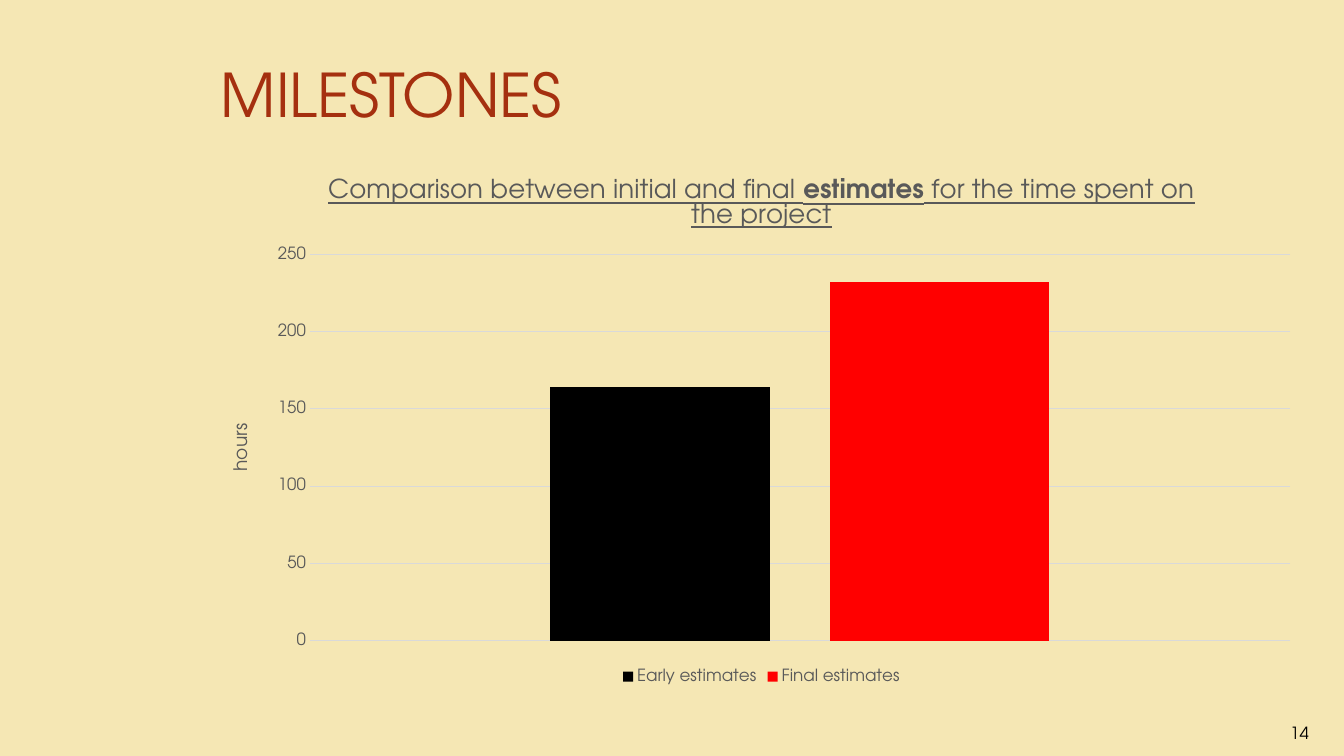
from dataclasses import dataclass

from lxml.etree import SubElement
from pptx import Presentation
from pptx.chart.data import CategoryChartData
from pptx.dml.color import RGBColor as RGB
from pptx.enum.chart import XL_CHART_TYPE as ChartType
from pptx.enum.chart import XL_LEGEND_POSITION as LegendPos
from pptx.enum.chart import XL_TICK_MARK as Tick
from pptx.enum.text import MSO_ANCHOR as Anchor
from pptx.enum.text import PP_ALIGN as Align
from pptx.oxml.ns import qn
from pptx.util import Cm, Pt

FONT = "TeX Gyre Adventor"
COLORS = {
    "background": "F5E7B4",
    "heading": "A5300F",
    "label": "595959",
    "grid": "D9D9D9",
    "black": "000000",
    "red": "FF0000",
}


@dataclass
class Estimate:
    name: str
    hours: int
    color: str


@dataclass
class Box:
    left: float
    top: float
    width: float
    height: float

    def lengths(self) -> list:
        return [Cm(v) for v in (self.left, self.top, self.width, self.height)]


ESTIMATES = [
    Estimate("Early estimates", 164, "black"),
    Estimate("Final estimates", 232, "red"),
]
TITLE_BOX = Box(5.31, 0.76, 27.76, 3.18)
CHART_BOX = Box(5.31, 4.01, 27.76, 13.34)
NUMBER_BOX = Box(31.9, 17.53, 1.7, 1.32)
PLOT_AREA = {"x": 0.09, "y": 0.18, "w": 0.89, "h": 0.73}


def rgb(name: str) -> RGB:
    return RGB.from_string(COLORS[name])


def set_font(font, size: float, color: str, **extra) -> None:
    values = {"name": FONT, "size": Pt(size), "bold": False, **extra}
    for key, value in values.items():
        setattr(font, key, value)
    font.color.rgb = rgb(color)


def add_title(slide) -> None:
    sp = slide.shapes.title
    for key, value in zip(("left", "top", "width", "height"), TITLE_BOX.lengths()):
        setattr(sp, key, value)
    tf = sp.text_frame
    tf.text = "MILESTONES"
    tf.vertical_anchor = Anchor.MIDDLE
    p = tf.paragraphs[0]
    p.alignment = Align.LEFT
    set_font(p.runs[0].font, 43, "heading")


def add_slide_number(slide) -> None:
    tf = slide.shapes.add_textbox(*NUMBER_BOX.lengths()).text_frame
    tf.word_wrap = True
    tf.vertical_anchor = Anchor.BOTTOM
    p = tf.paragraphs[0]
    p.alignment = Align.CENTER
    r = p.add_run()
    r.text = "14"
    set_font(r.font, 12, "black")


def place_plot(chart) -> None:
    """Fix the inner plot area as fractions of the chart."""
    area = chart.plots[0]._element.getparent()
    for old in area.findall(qn("c:layout")):
        area.remove(old)
    layout = SubElement(area, qn("c:layout"))
    area.insert(0, layout)
    manual = SubElement(layout, qn("c:manualLayout"))
    settings = {"layoutTarget": "inner", "xMode": "edge", "yMode": "edge", **PLOT_AREA}
    for tag, value in settings.items():
        SubElement(manual, qn(f"c:{tag}")).set("val", str(value))


def add_chart(slide) -> None:
    data = CategoryChartData()
    data.categories = ["1"]
    for estimate in ESTIMATES:
        data.add_series(estimate.name, [estimate.hours])
    chart = slide.shapes.add_chart(
        ChartType.COLUMN_CLUSTERED, *CHART_BOX.lengths(), data
    ).chart
    set_font(chart.font, 10, "black")

    # Chart title with one bold word
    chart.has_title = True
    p = chart.chart_title.text_frame.paragraphs[0]
    for text, bold in (
        ("Comparison between initial and final ", False),
        ("estimates", True),
        (" for the time spent on the project", False),
    ):
        r = p.add_run()
        r.text = text
        set_font(r.font, 18.6, "label", bold=bold, underline=True)
    chart.chart_title.include_in_layout = False

    # Columns
    plot = chart.plots[0]
    plot.gap_width, plot.overlap, plot.vary_by_categories = 219, -27, False
    for series, estimate in zip(plot.series, ESTIMATES):
        series.format.fill.solid()
        series.format.fill.fore_color.rgb = rgb(estimate.color)

    # Axes
    chart.category_axis.visible = False
    axis = chart.value_axis
    for key, value in {
        "minimum_scale": 0,
        "maximum_scale": 250,
        "major_unit": 50,
        "major_tick_mark": Tick.NONE,
        "minor_tick_mark": Tick.NONE,
        "has_major_gridlines": True,
    }.items():
        setattr(axis, key, value)
    axis.format.line.fill.background()
    grid = axis.major_gridlines.format.line
    grid.width = Pt(0.75)
    grid.color.rgb = rgb("grid")
    set_font(axis.tick_labels.font, 12, "label")
    r = axis.axis_title.text_frame.paragraphs[0].add_run()
    r.text = "hours"
    set_font(r.font, 13.3, "label")

    # Legend
    chart.has_legend = True
    chart.legend.position = LegendPos.BOTTOM
    chart.legend.include_in_layout = False
    set_font(chart.legend.font, 12, "label")
    place_plot(chart)


def main() -> None:
    prs = Presentation()
    prs.slide_width, prs.slide_height = Cm(33.87), Cm(19.05)
    slide = prs.slides.add_slide(prs.slide_layouts[5])
    fill = slide.background.fill
    fill.solid()
    fill.fore_color.rgb = rgb("background")
    add_title(slide)
    add_slide_number(slide)
    add_chart(slide)
    prs.save("out.pptx")


if __name__ == "__main__":
    main()
